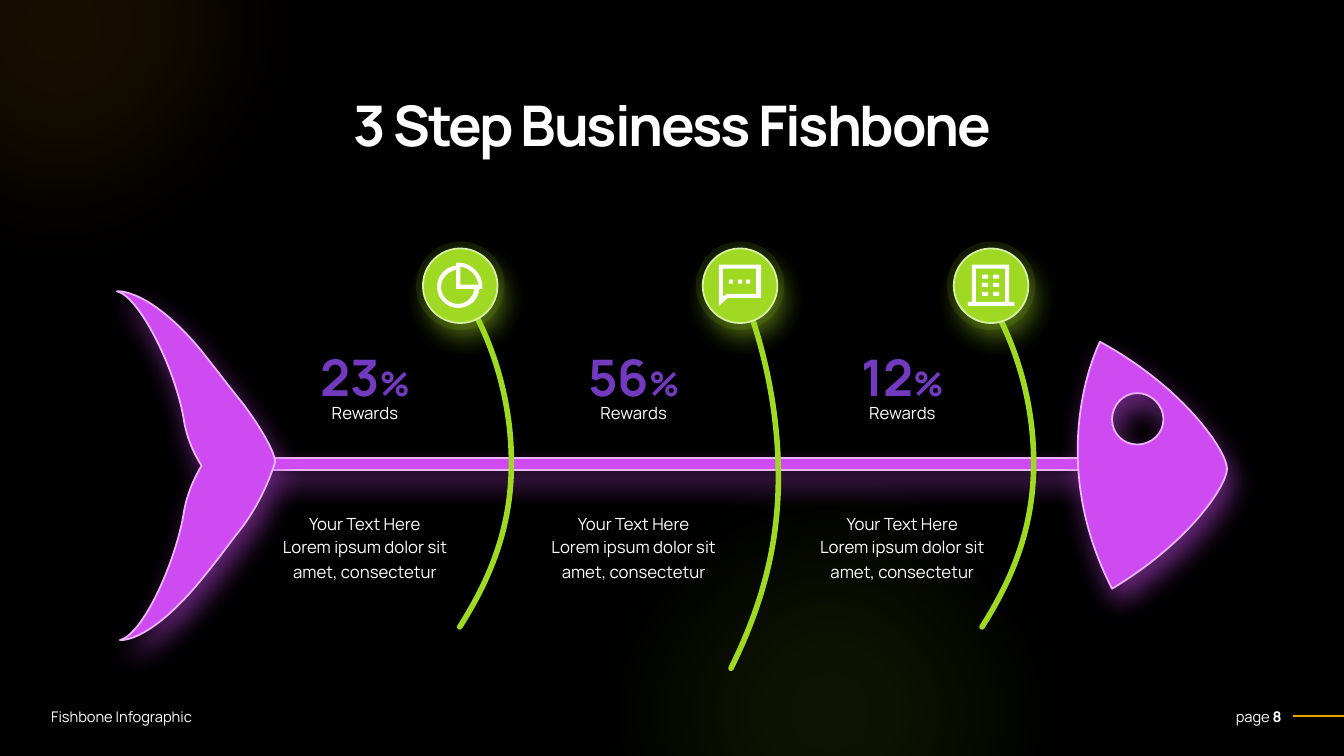
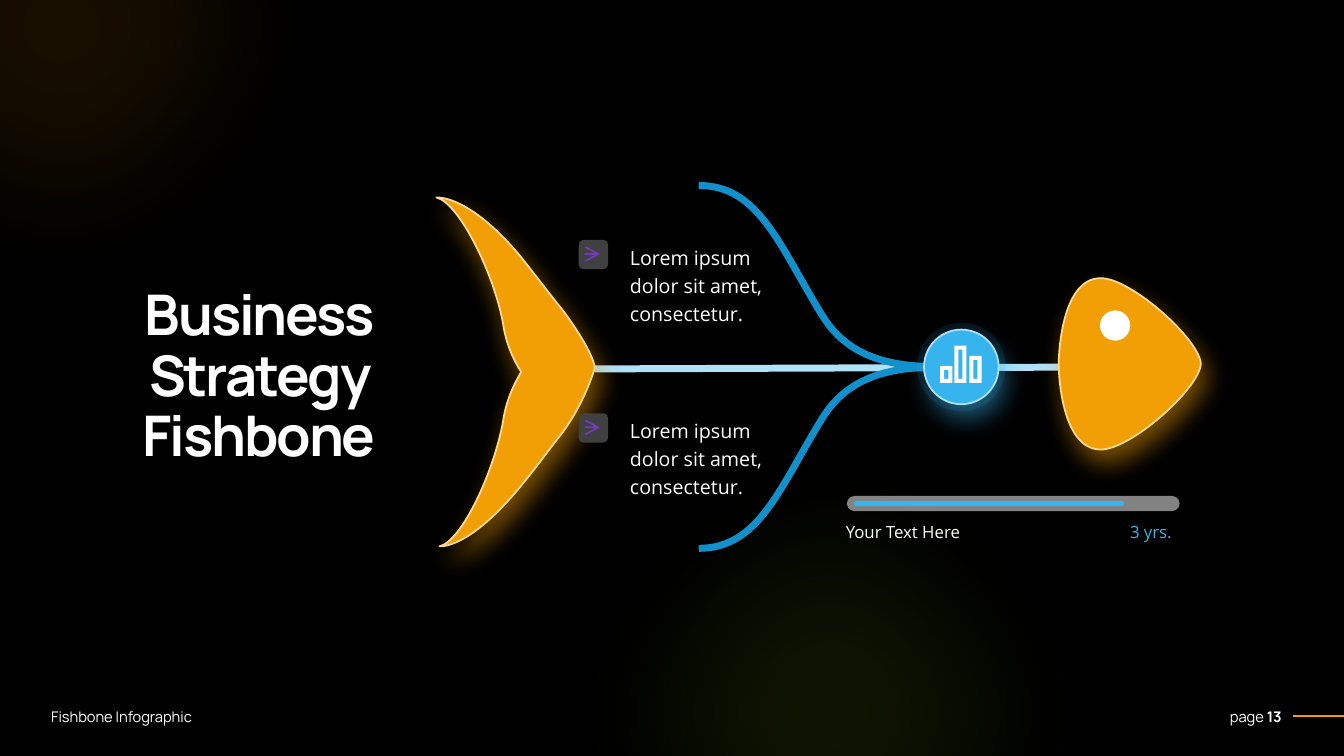
from dataclasses import dataclass
from math import cos, radians, sin

from pptx import Presentation
from pptx.dml.color import RGBColor
from pptx.enum.shapes import MSO_CONNECTOR, MSO_SHAPE
from pptx.enum.text import MSO_ANCHOR, MSO_AUTO_SIZE, PP_ALIGN
from pptx.oxml.ns import qn
from pptx.oxml.xmlchemy import OxmlElement
from pptx.util import Inches, Pt


@dataclass(frozen=True)
class Theme:
    heading: str = "Manrope"
    body: str = "Open Sans"
    black: str = "000000"
    white: str = "FFFFFF"
    violet: str = "723BBF"
    pink: str = "CE4BF2"
    pink_edge: str = "EBB7FA"
    lime: str = "9FD923"
    lime_edge: str = "D9F1A6"
    amber: str = "F29F05"
    amber_edge: str = "FDDA98"
    sky: str = "37B4EE"
    sky_edge: str = "AFE1F8"
    blue: str = "1190CB"
    button: str = "404040"
    track: str = "D9D9D9"
    title: float = 40
    figure: float = 36
    percent: float = 24
    lead: float = 14
    text: float = 12
    footer: float = 10.5
    edge: float = 1.25


T = Theme()


def box(left, top, right, bottom):
    return [(left, top), (right, top), (right, bottom), (left, bottom)]


FOOTER = "Fishbone Infographic"
GLOWS = [((4.84, 3.67, 6.79, 6.79), T.lime), ((-2.78, -3.16, 6.79, 6.83), T.amber)]

TAIL = [[
    (0, 0), (0, 0, -0.1, 0.36, -0.35, 0.68), (-0.44, 0.79, -0.55, 0.95, -0.74, 1.18),
    (-1.26, 1.81, -1.54, 1.77, -1.54, 1.77), (-1.32, 1.72, -1, 1.03, -0.91, 0.53),
    (-0.88, 0.32, -0.8, 0.16, -0.73, 0.04), (-0.8, -0.07, -0.88, -0.23, -0.91, -0.44),
    (-1, -0.94, -1.35, -1.64, -1.57, -1.69), (-1.57, -1.69, -1.26, -1.73, -0.74, -1.11),
    (-0.55, -0.87, -0.43, -0.71, -0.34, -0.6), (-0.29, -0.54, -0.02, -0.17, 0, 0),
]]
OPEN_EYE_HEAD = [
    [(10.91, 3.39), (10.91, 3.39, 10.34, 4.5, 11.03, 5.84),
     (11.81, 5.37, 12.17, 4.81, 12.17, 4.65), (12.17, 4.48, 11.75, 3.85, 10.91, 3.39)],
    [(11.28, 4.41), (11.14, 4.41, 11.03, 4.3, 11.03, 4.16),
     (11.03, 4.02, 11.14, 3.9, 11.28, 3.9), (11.42, 3.9, 11.54, 4.02, 11.54, 4.16),
     (11.54, 4.3, 11.42, 4.41, 11.28, 4.41)],
]
ROUND_HEAD = [[
    (11.91, 3.61), (11.9, 3.37, 11.21, 2.75, 10.91, 2.76),
    (10.52, 2.77, 10.5, 3.55, 10.5, 3.61), (10.5, 3.68, 10.52, 4.45, 10.91, 4.46),
    (11.21, 4.47, 11.9, 3.85, 11.91, 3.61),
]]
SHORT_RIB = [[(4.56, 6.22), (4.89, 5.7, 5.05, 5.23, 5.07, 4.7),
              (5.09, 4.17, 4.97, 3.58, 4.68, 3.05)]]
LONG_RIB = [[(7.25, 6.63), (7.57, 5.98, 7.72, 5.39, 7.72, 4.73),
             (7.72, 4.06, 7.57, 3.32, 7.26, 2.65)]]
RIB_TURN = 82.3
BRANCH = [[(0, 0), (-0.43, 0, -0.99, 0, -1.3, -0.52),
           (-1.72, -1.2, -1.92, -1.8, -2.52, -1.8)]]

PIE = [
    [(-0.04, -0.23), (-0.02, -0.23), (0.11, -0.23, 0.22, -0.12, 0.22, 0.01),
     (0.22, 0.03), (0.19, 0.03), (0.18, 0.14, 0.09, 0.22, -0.02, 0.22),
     (-0.14, 0.22, -0.23, 0.12, -0.23, 0.01), (-0.23, -0.1, -0.15, -0.19, -0.04, -0.2)],
    [(-0.04, 0.03), (-0.04, -0.16), (-0.13, -0.14, -0.2, -0.06, -0.19, 0.03),
     (-0.18, 0.11, -0.11, 0.18, -0.02, 0.18), (0.06, 0.18, 0.13, 0.11, 0.14, 0.03)],
    [(0.18, -0.01), (0.17, -0.1, 0.09, -0.18, 0, -0.19), (0, -0.01)],
]
CHAT = [
    [(-0.12, 0.12), (-0.21, 0.2), (-0.21, -0.21), (0.21, -0.21), (0.21, 0.12)],
    [(-0.13, 0.08), (0.16, 0.08), (0.16, -0.17), (-0.17, -0.17), (-0.17, 0.11)],
] + [box(x, -0.06, x + 0.04, -0.02) for x in (-0.11, -0.02, 0.06)]
BUILDING = [
    [(0.18, 0.16), (0.23, 0.16), (0.23, 0.2), (-0.23, 0.2),
     (-0.23, 0.16), (-0.19, 0.16), (-0.19, -0.21), (0.18, -0.21)],
    box(-0.15, -0.17, 0.14, 0.16),
] + [box(x, y, x + 0.06, y + 0.04) for x in (-0.09, 0.02) for y in (-0.11, -0.03, 0.06)]
BARS = [
    box(x + inset, y + inset, x + 0.12 - inset, 0.16 - inset)
    for x, y in ((-0.21, -0.01), (-0.07, -0.21), (0.08, -0.11)) for inset in (0, 0.04)
]

STEPS = [
    ("23", SHORT_RIB, 0, PIE, 4.565),
    ("56", LONG_RIB, 0, CHAT, 7.34),
    ("12", SHORT_RIB, 5.18, BUILDING, 9.83),
]
STEP_LINES = [("Rewards", 3.91, 1.28, 0.34), ("Your Text Here", 5.01, 1.85, 0.3),
              ("Lorem ipsum dolor sit amet, consectetur", 5.24, 1.91, 0.57)]
FIRST_STEP, STEP_PITCH, STEP_ICON_Y = 3.62, 2.665, 2.835
NOTES = [("Lorem ipsum dolor sit amet, consectetur.", top) for top in (2.34, 4.06)]


def rgb(value):
    return RGBColor.from_string(value)


def append(parent, tag, **attributes):
    node = OxmlElement(tag)
    for key, value in attributes.items():
        node.set(key, str(value))
    parent.append(node)
    return node


def add_effect(shape, tag, **attributes):
    return append(shape._element.spPr.find(qn("a:effectLst")), tag, **attributes)


def add_shadow(shape, color, alpha=50, blur=19, distance=10, angle=68):
    shadow = add_effect(shape, "a:outerShdw", blurRad=Pt(blur), dist=Pt(distance),
                        dir=angle * 60000, algn="t", rotWithShape=0)
    append(append(shadow, "a:srgbClr", val=color), "a:alpha", val=alpha * 1000)


def paint(shape, fill=None, edge=None, width=T.edge, alpha=None):
    shape.shadow.inherit = False
    if fill:
        shape.fill.solid()
        shape.fill.fore_color.rgb = rgb(fill)
        if alpha:
            append(shape._element.spPr.find(qn("a:solidFill"))[0], "a:alpha", val=alpha * 1000)
    else:
        shape.fill.background()
    if edge:
        shape.line.color.rgb = rgb(edge)
        shape.line.width = Pt(width)
    else:
        shape.line.fill.background()
    return shape


def add_preset(slide, kind, at, fill, **style):
    return paint(slide.shapes.add_shape(kind, *map(Inches, at)), fill, **style)


def add_circle(slide, x, y, size, fill, **style):
    at = (x - size / 2, y - size / 2, size, size)
    return add_preset(slide, MSO_SHAPE.OVAL, at, fill, **style)


def trace(contour, steps=40):
    points = list(contour[0])
    for part in contour[1:]:
        curve = [points[-1]] + part
        for t in [step / steps for step in range(1, steps + 1)] if len(part) == 3 else []:
            weights = ((1 - t) ** 3, 3 * t * (1 - t) ** 2, 3 * t * t * (1 - t), t ** 3)
            points.append(tuple(sum(w * p[axis] for w, p in zip(weights, curve))
                                for axis in (0, 1)))
        points.append(part[-1])
    return points


def add_outline(slide, contours, dx=0, dy=0, flip=1, turn=0, close=True, **style):
    c, s = cos(radians(turn)), sin(radians(turn))
    moved = [[[(Inches(x + dx), Inches(flip * y + dy)) for x, y in zip(part[::2], part[1::2])]
              for part in contour] for contour in contours]
    level = [[[(c * x + s * y, c * y - s * x) for x, y in part]
              for part in contour] for contour in moved]
    xs, ys = zip(*[point for contour in level for point in trace(contour)])
    left, top, width, height = min(xs), min(ys), max(xs) - min(xs), max(ys) - min(ys)
    middle_x, middle_y = left + width / 2, top + height / 2
    builder = slide.shapes.build_freeform(*level[0][0][0], scale=1.0)
    builder.add_line_segments([part[-1] for part in level[0][1:]], close=close)
    shape = builder.convert_to_shape()
    shape.left = round(c * middle_x - s * middle_y - width / 2)
    shape.top = round(s * middle_x + c * middle_y - height / 2)
    shape.width, shape.height, shape.rotation = round(width), round(height), turn
    figure = next(shape._element.iter(qn("a:path")))
    figure.clear()
    figure.set("w", str(round(width)))
    figure.set("h", str(round(height)))
    for contour in level:
        for index, part in enumerate(contour):
            tag = "a:cubicBezTo" if len(part) == 3 else "a:lnTo" if index else "a:moveTo"
            stroke = append(figure, tag)
            for x, y in part:
                append(stroke, "a:pt", x=round(x - left), y=round(y - top))
        if close:
            append(figure, "a:close")
    return paint(shape, **style)


def add_line(slide, start, end, color, width=T.edge, arrow=False):
    line = slide.shapes.add_connector(MSO_CONNECTOR.STRAIGHT, *map(Inches, start + end))
    line.line.color.rgb = rgb(color)
    line.line.width = Pt(width)
    if arrow:
        append(line.line._get_or_add_ln(), "a:tailEnd", type="arrow", w="lg", len="lg")
    append(line._element.spPr, "a:effectLst")


def add_text(slide, at, runs, size=T.text, font=T.heading, color=T.white, align=PP_ALIGN.LEFT,
             spacing=None, anchor=MSO_ANCHOR.TOP):
    frame = slide.shapes.add_textbox(*map(Inches, at)).text_frame
    frame.word_wrap = True
    frame.auto_size = MSO_AUTO_SIZE.SHAPE_TO_FIT_TEXT
    frame.vertical_anchor = anchor
    paragraph = frame.paragraphs[0]
    paragraph.alignment = align
    if spacing:
        paragraph.line_spacing = spacing
    for words, bold, own_size in [(runs, False, size)] if isinstance(runs, str) else runs:
        run = paragraph.add_run()
        run.text = words
        run.font.name, run.font.size, run.font.bold = font, Pt(own_size), bold
        run.font.color.rgb = rgb(color)
    return paragraph


def add_title(slide, at, words):
    title = add_text(slide, at, [(words, True, T.title)], align=PP_ALIGN.CENTER, spacing=0.9)
    title.runs[0].font._element.set("spc", "-150")


def add_badge(slide, x, y, icon, color, edge):
    add_circle(slide, x, y, 0.88, color, alpha=10)
    add_shadow(add_circle(slide, x, y, 0.74, color, edge=edge), color)
    add_outline(slide, icon, x, y, fill=T.white)


def add_fish_part(slide, contours, fill, edge, dx=0, dy=0):
    add_shadow(add_outline(slide, contours, dx, dy, fill=fill, edge=edge), fill)


def start_slide(deck, page):
    slide = deck.slides.add_slide(deck.slide_layouts[6])
    slide.background.fill.solid()
    slide.background.fill.fore_color.rgb = rgb(T.black)
    add_text(slide, (11.8, 6.97, 1.01, 0.28), [("page ", False, T.footer), (page, True, T.footer)],
             align=PP_ALIGN.RIGHT, anchor=MSO_ANCHOR.MIDDLE)
    add_text(slide, (0.41, 6.97, 2.31, 0.28), FOOTER, T.footer, anchor=MSO_ANCHOR.MIDDLE)
    add_line(slide, (12.82, 7.1), (13.33, 7.1), T.amber)
    for at, color in GLOWS:
        glow = add_preset(slide, MSO_SHAPE.OVAL, at, color, alpha=10)
        add_effect(glow, "a:softEdge", rad=Pt(100))
    return slide


def build_steps(deck):
    slide = start_slide(deck, "8")
    add_shadow(add_preset(slide, MSO_SHAPE.RECTANGLE, (2.68, 4.54, 8.17, 0.12), T.pink,
                          edge=T.pink_edge), T.pink)
    add_fish_part(slide, OPEN_EYE_HEAD, T.pink, T.pink_edge)
    add_fish_part(slide, TAIL, T.pink, T.pink_edge, 2.73, 4.58)
    for index, (figure, rib, shift, icon, icon_x) in enumerate(STEPS):
        bone = add_outline(slide, rib, shift, turn=RIB_TURN, close=False, edge=T.lime, width=4)
        bone.line._get_or_add_ln().set("cap", "rnd")
        middle = FIRST_STEP + index * STEP_PITCH
        add_text(slide, (middle - 0.64, 3.38, 1.28, 0.71),
                 [(figure, True, T.figure), ("%", True, T.percent)],
                 color=T.violet, align=PP_ALIGN.CENTER)
        for words, top, width, height in STEP_LINES:
            add_text(slide, (middle - width / 2, top, width, height), words,
                     align=PP_ALIGN.CENTER, spacing=1.2)
        add_badge(slide, icon_x, STEP_ICON_Y, icon, T.lime, T.lime_edge)
    add_title(slide, (1.38, 0.92, 10.58, 0.71), "3 Step Business Fishbone")


def build_strategy(deck):
    slide = start_slide(deck, "13")
    add_line(slide, (11.22, 3.64), (5.9, 3.66), T.sky_edge, 5)
    for flip in (1, -1):
        add_outline(slide, BRANCH, 9.45, 3.64, flip, close=False, edge=T.blue, width=5)
    add_fish_part(slide, TAIL, T.amber, T.amber_edge, 5.9, 3.65)
    add_fish_part(slide, ROUND_HEAD, T.amber, T.amber_edge)
    add_circle(slide, 11.06, 3.23, 0.3, T.white)
    for words, top in NOTES:
        add_text(slide, (6.15, top, 1.57, 0.93), words, T.lead, T.body, spacing=1.2)
        add_shadow(add_preset(slide, MSO_SHAPE.ROUNDED_RECTANGLE, (5.74, top + 0.04, 0.29, 0.29),
                              T.button), T.black, 10, 19, 6, 45)
        add_line(slide, (5.82, top + 0.18), (5.95, top + 0.18), T.violet, arrow=True)
    add_badge(slide, 9.535, 3.64, BARS, T.sky, T.sky_edge)
    add_text(slide, (8.29, 5.13, 1.82, 0.31), "Your Text Here", font=T.body)
    add_text(slide, (10.94, 5.13, 0.78, 0.31), "3 yrs.", font=T.body, color=T.sky,
             align=PP_ALIGN.RIGHT)
    for at, color, alpha in (((8.4, 4.92, 3.3, 0.15), T.track, 60),
                             ((8.47, 4.97, 2.68, 0.05), T.sky, None)):
        add_preset(slide, MSO_SHAPE.ROUNDED_RECTANGLE, at, color, alpha=alpha).adjustments[0] = 0.5
    add_title(slide, (0.38, 2.8, 4.38, 1.92), "Business Strategy Fishbone")


if __name__ == "__main__":
    deck = Presentation()
    deck.slide_width, deck.slide_height = Inches(13.33), Inches(7.5)
    build_steps(deck)
    build_strategy(deck)
    deck.save("out.pptx")
